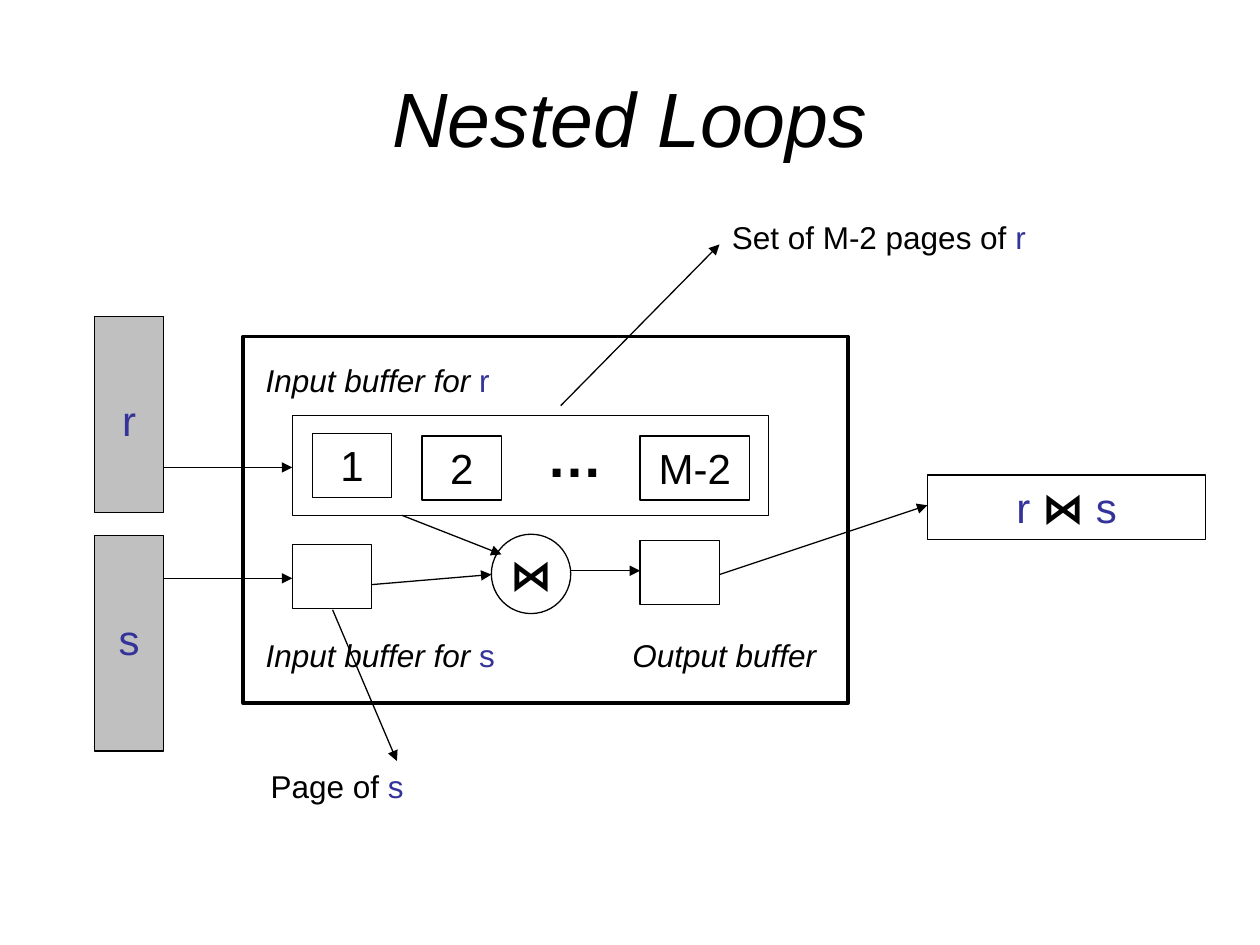
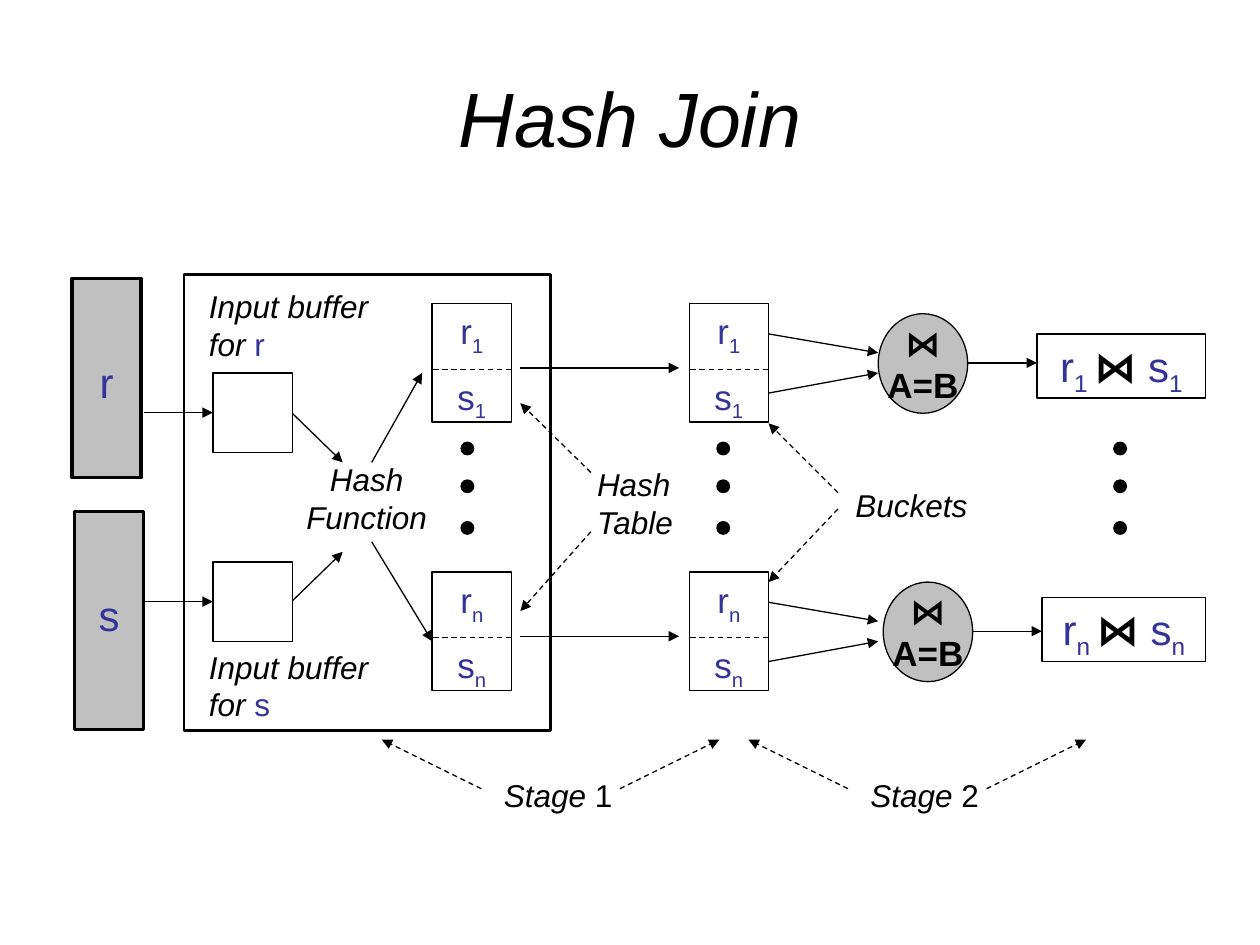
import lxml.etree
import pptx
import pptx.dml.color
import pptx.enum.dml
import pptx.enum.shapes
import pptx.enum.text
import pptx.oxml.ns
import pptx.util

SHAPE = pptx.enum.shapes.MSO_SHAPE
ALIGN = pptx.enum.text.PP_ALIGN
ANCHOR = pptx.enum.text.MSO_ANCHOR
COLOURS = {"ink": "000000", "relation": "333399", "disk": "C0C0C0"}
FONT = "Arial"
COLUMNS = 100  # square grid cells across the slide: 100 columns by 75 rows
JOIN = "\u22c8"


def colour(name):
    return pptx.dml.color.RGBColor.from_string(COLOURS[name])


def add_xml(parent, tag, **attributes):
    return lxml.etree.SubElement(parent, pptx.oxml.ns.qn(tag), **attributes)


class Diagram:
    """Holds the style and the current slide. Lengths are grid cells.

    A paragraph is a list of (text, style) spans; style letters are
    i italic, b bold, v relation colour, _ subscript.
    """

    def __init__(self):
        self.deck = pptx.Presentation()
        self.deck.slide_width = pptx.util.Inches(10)
        self.deck.slide_height = pptx.util.Inches(7.5)
        self.cell = self.deck.slide_width / COLUMNS

    def grid(self, *cells):
        return [pptx.util.Emu(round(cell * self.cell)) for cell in cells]

    def new_page(self, title):
        page = self.deck.slides.add_slide(self.deck.slide_layouts[5])
        self.canvas = page.shapes
        box = page.shapes.title
        box.left, box.top, box.width, box.height = self.grid(5, 3, 90, 12.5)
        self.set_text(box, [[(title, "i")]], 44, ALIGN.CENTER, ANCHOR.MIDDLE, lead=False)

    def set_text(self, box, paragraphs, size, align, anchor=ANCHOR.TOP, lead=True):
        frame = box.text_frame
        frame.vertical_anchor = anchor
        for index, spans in enumerate(paragraphs):
            para = frame.add_paragraph() if index else frame.paragraphs[0]
            para.alignment = align
            para.space_before = pptx.util.Pt(0)
            if lead:  # half a line before the paragraph
                spacing = para._p.pPr.find(pptx.oxml.ns.qn("a:spcBef"))
                spacing.remove(spacing[0])
                add_xml(spacing, "a:spcPct", val="50000")
            for text, style in spans:
                span = para.add_run()
                span.text = text
                span.font.name = FONT
                span.font.size = pptx.util.Pt(size)
                span.font.bold = "b" in style
                span.font.italic = "i" in style
                span.font.color.rgb = colour("relation" if "v" in style else "ink")
                if "_" in style:
                    span._r.get_or_add_rPr().set("baseline", "-25000")

    def shape(self, left, top, width, height, kind=SHAPE.RECTANGLE, fill=None, weight=0.75):
        box = self.canvas.add_shape(kind, *self.grid(left, top, width, height))
        box.shadow.inherit = False
        if fill:
            box.fill.solid()
            box.fill.fore_color.rgb = colour(fill)
        else:
            box.fill.background()
        box.line.color.rgb = colour("ink")
        box.line.width = pptx.util.Pt(weight)
        return box

    def box(self, left, top, width, height, *paragraphs, size=24):
        box = self.shape(left, top, width, height)
        self.set_text(box, paragraphs, size, ALIGN.CENTER)

    def relation(self, name, left, top, height, weight):
        box = self.shape(left, top, 5.5, height, fill="disk", weight=weight)
        box.text_frame.margin_top = self.grid(6.2)[0]
        self.set_text(box, [[(name, "v")]], 24, ALIGN.CENTER)

    def join(self, left, top, width, height, *lines, size, fill=None):
        circle = self.shape(left, top, width, height, SHAPE.OVAL, fill)
        circle.text_frame.word_wrap = False
        self.set_text(circle, [[(line, "b")] for line in lines], size,
                      ALIGN.CENTER, ANCHOR.MIDDLE, lead=False)

    def label(self, left, top, width, height, *spans, size=18, align=ALIGN.LEFT):
        box = self.canvas.add_textbox(*self.grid(left, top, width, height))
        box.text_frame.word_wrap = True
        self.set_text(box, [spans], size, align)

    def line(self, x1, y1, x2, y2, dashed=False, arrow=True):
        line = self.canvas.add_connector(
            pptx.enum.shapes.MSO_CONNECTOR.STRAIGHT, *self.grid(x1, y1, x2, y2))
        line.line.color.rgb = colour("ink")
        line.line.width = pptx.util.Pt(0.75)
        if dashed:
            line.line.dash_style = pptx.enum.dml.MSO_LINE.DASH
        if arrow:
            add_xml(line.line._get_or_add_ln(), "a:tailEnd", type="triangle")
        add_xml(line._element.spPr, "a:effectLst")

    def bucket(self, left, top, index):
        page_shapes = self.canvas
        self.canvas = page_shapes.add_group_shape().shapes
        self.box(left, top, 6.3, 9.4,
                 *[[(name, "v"), (index, "v_")] for name in "rs"], size=20)
        self.line(left + 0.1, top + 5.2, left + 6.4, top + 5.2, dashed=True, arrow=False)
        self.canvas = page_shapes

    def dots(self, left):
        for top in (35.1, 38.1, 41.4):
            self.shape(left, top, 1, 1, SHAPE.OVAL, "ink")


diagram = Diagram()

# Nested loops: relations, main memory frame and result
diagram.new_page("Nested Loops")
diagram.relation("r", 7.5, 25.1, 15.6, 0.75)
diagram.relation("s", 7.5, 42.5, 17.1, 0.75)
diagram.shape(19.3, 26.7, 48, 29.1, weight=2)
diagram.box(73.6, 37.7, 22.1, 5.1, [("r ", "v"), (JOIN + " ", "b"), ("s", "v")])

# Buffer pages
diagram.shape(23.2, 33, 37.8, 7.9)
for name, left, top, width in (("1", 24.8, 34.4, 6.3), ("2", 33.5, 34.6, 6.3),
                               ("M-2", 50.8, 34.6, 8.7)):
    diagram.box(left, top, width, 5.1, [(name, "")])
diagram.label(40.5, 33, 10.2, 6.3, ("\u2026", "b"), size=32, align=ALIGN.CENTER)
diagram.shape(23.2, 43.2, 6.3, 5.1)
diagram.shape(50.8, 42.9, 6.3, 5.1)
diagram.join(39, 42.4, 6.3, 6.3, JOIN, size=24)

# Labels
for name, top in (("r", 28.2), ("s", 50)):
    diagram.label(20.1, top, 22.8, 4, ("Input buffer for ", "i"), (name, "v"))
diagram.label(49.2, 50, 22.8, 4, ("Output buffer", "i"))
diagram.label(57.1, 16.8, 27.6, 4, ("Set of M-2 pages of ", ""), ("r", "v"))
diagram.label(20.5, 60.4, 27.6, 4, ("Page of ", ""), ("s", "v"))

# Data flow, then pointers to the outer labels
for ends in ((13, 37.1, 23.2, 37.1), (13, 45.9, 23.2, 45.9),
             (31.9, 40.9, 39.8, 44), (29.5, 46.4, 39, 45.6),
             (45.3, 45.3, 50.8, 45.3), (57.1, 45.6, 73.6, 40.1),
             (44.5, 32.2, 57.1, 19.4), (26.4, 48.4, 31.5, 60.4)):
    diagram.line(*ends)

# Hash join: relations, memory frame and input buffers
diagram.new_page("Hash Join")
diagram.relation("r", 5.7, 22.1, 15.8, 2)
diagram.relation("s", 5.9, 40.6, 17.3, 2)
diagram.shape(14.6, 21.8, 29.1, 36.2, weight=1.5)
for name, label_top, buffer_top in (("r", 22.3, 29.6), ("s", 50.9, 44.6)):
    diagram.label(15.6, label_top, 15.5, 7, ("Input buffer for ", "i"), (name, "v"))
    diagram.shape(16.9, buffer_top, 6.3, 6.3)
    diagram.line(11.4, buffer_top + 3.15, 16.9, buffer_top + 3.15)

# Hash function
diagram.label(23.2, 36, 11.8, 7, ("Hash Function", "i"), align=ALIGN.CENTER)
for ends in ((23.2, 32.8, 27.2, 36.7), (23.2, 47.7, 27.2, 43.8),
             (29.5, 36.7, 33.5, 29.6), (29.5, 43, 34.3, 50.9)):
    diagram.line(*ends)

# One row for each partition: hash table, bucket, join, result
for index, top, shift, result_top in (("1", 24.1, 0, 26.5), ("n", 45.4, 0.4, 47.4)):
    diagram.bucket(34.3, top, index)
    diagram.line(41.3, top + 5.1, 53.9, top + 5.1)
    diagram.bucket(54.7, top, index)
    diagram.line(61, top + 2.4, 69.7, top + 3.9)
    diagram.line(61, top + 7.1, 69.7, top + 5.5)
    diagram.join(69.7 + shift, top + 0.8, 7.1, 7.9, JOIN, "A=B", size=20, fill="disk")
    diagram.line(76.8 + shift, top + 4.7, 82.3 + shift, top + 4.7)
    diagram.box(82.3 + shift, result_top, 13.4 - shift, 5.1,
                [("r", "v"), (index + " ", "v_"), (JOIN + " ", "b"),
                 ("s", "v"), (index, "v_")])
for left in (36.6, 56.9, 88.4):
    diagram.dots(left)

# Labels with dashed pointers
diagram.label(46.4, 36.4, 9.4, 7, ("Hash Table", "i"))
diagram.label(66.9, 38.1, 12.2, 4, ("Buckets", "i"))
for ends in ((46.9, 37.5, 41.3, 32), (46.9, 42.2, 41.3, 48.5),
             (66.5, 39.1, 61, 33.6), (66.5, 40.4, 61, 46.2)):
    diagram.line(*ends, dashed=True)
for number, left in (("1", 39), ("2", 68.1)):
    diagram.label(left, 61.1, 14.2, 4, ("Stage", "i"), (" " + number, ""))
    diagram.line(left - 0.8, 62.6, left - 8.7, 58.7, dashed=True)
    diagram.line(left + 10.2, 62.6, left + 18.1, 58.7, dashed=True)

diagram.deck.save("out.pptx")
